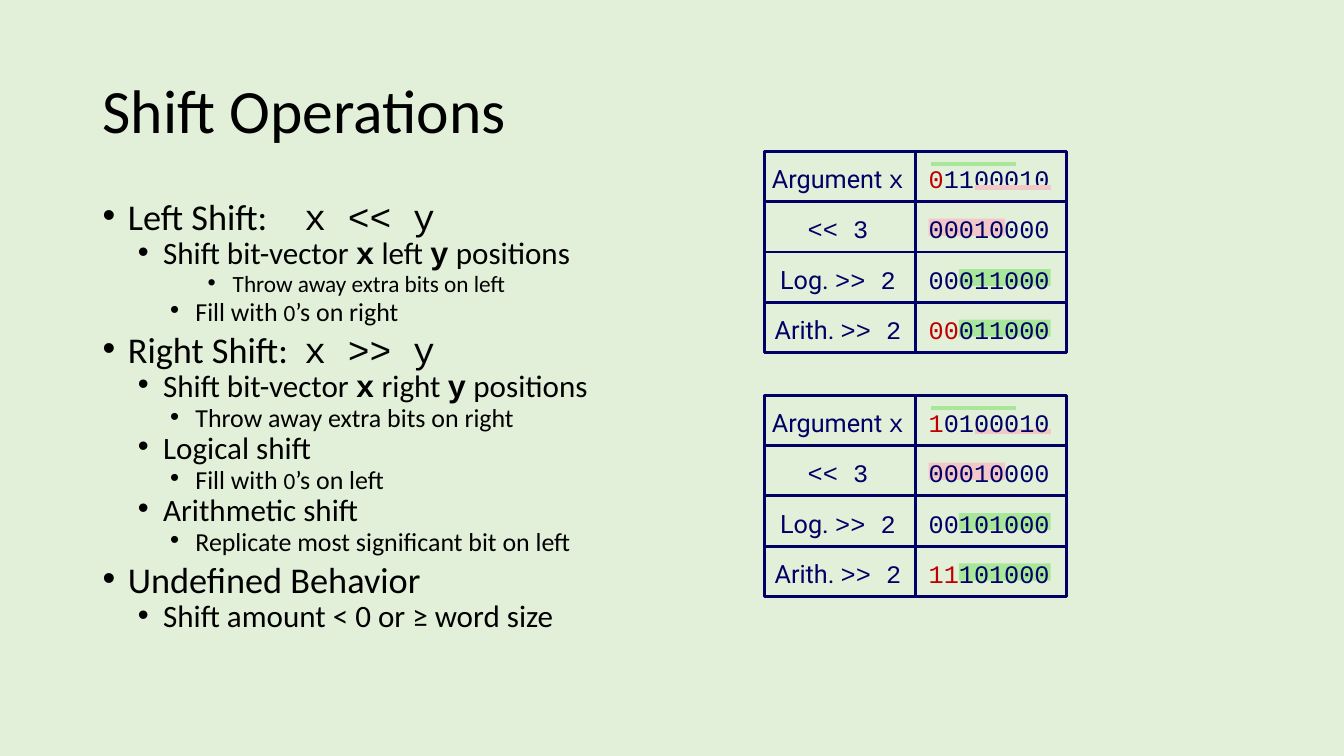
from lxml.etree import SubElement
from pptx import Presentation
from pptx.dml.color import RGBColor
from pptx.enum.shapes import MSO_CONNECTOR, MSO_SHAPE
from pptx.enum.text import MSO_ANCHOR, PP_ALIGN
from pptx.oxml.ns import qn
from pptx.util import Inches, Pt

HUE = {"back": "E2F0D9", "ink": "000000", "navy": "000066",
       "red": "C00000", "green": "A8E799", "pink": "F1C7C7"}
SANS, MONO, LABEL = "Calibri", "Courier New", "Roboto"

# Grid of the two bit charts, in inches
LEFT, COL, ROW = 7.58, 1.5, 0.5
TOPS = (1.5, 3.92)
BIT, FIRST = 0.15, 9.21  # width of a digit, left edge of digit 0

# Outline levels: text size, indent, space before
LEVELS = ((25.9, 0.25, 10), (22.2, 0.6, 5), (18.5, 0.92, 5), (16.6, 1.29, 5))


def shift(name, sign):
    return (0, [(f"{name} Shift: \t",), (f"x {sign} y", MONO)])


def vector(side):
    return (1, [("Shift bit-vector ",), ("x", MONO, True), (f" {side} ",),
                ("y", MONO, True), (" positions",)])


def zeros(side):
    return (2, [("Fill with ",), ("0", SANS, False, 16.6), (f"’s on {side}",)])


OUTLINE = (
    shift("Left", "<<"),
    vector("left"),
    (3, [("Throw away extra bits on left",)]),
    zeros("right"),
    shift("Right", ">>"),
    vector("right"),
    (2, [("Throw away extra bits on right",)]),
    (1, [("Logical shift",)]),
    zeros("left"),
    (1, [("Arithmetic shift",)]),
    (2, [("Replicate most significant bit on left",)]),
    (0, [("Undefined Behavior",)]),
    (1, [("Shift amount < 0 or ≥ word size",)]),
)


def color(name):
    return RGBColor.from_string(HUE[name])


def write(para, text, font, size, hue, bold=False):
    run = para.add_run()
    run.text = text
    run.font.name, run.font.size, run.font.bold = font, Pt(size), bold
    run.font.color.rgb = color(hue)


def add_box(slide, left, top, width, height):
    box = slide.shapes.add_textbox(*map(Inches, (left, top, width, height)))
    box.text_frame.word_wrap = True
    return box.text_frame


def add_title(slide, text):
    frame = add_box(slide, 0.92, 0.4, 11.5, 1.45)
    frame.vertical_anchor = MSO_ANCHOR.MIDDLE
    frame.paragraphs[0].line_spacing = 0.9
    write(frame.paragraphs[0], text, SANS, 44, "ink")


def add_list(slide, items):
    frame = add_box(slide, 0.92, 2, 11.5, 4.76)
    for num, (level, parts) in enumerate(items):
        para = frame.add_paragraph() if num else frame.paragraphs[0]
        size, indent, gap = LEVELS[level]
        para.level, para.line_spacing, para.space_before = level, 0.7, Pt(gap)
        props = para._p.get_or_add_pPr()
        props.set("marL", str(Inches(indent)))
        props.set("indent", str(-Inches(0.25)))
        SubElement(props, qn("a:buFont")).set("typeface", "Arial")
        SubElement(props, qn("a:buChar")).set("char", "•")
        for text, *style in parts:
            font, bold, own = style + [SANS, False, size][len(style):]
            write(para, text, font, own, "ink", bold)


def add_rect(slide, left, top, width, height):
    rect = slide.shapes.add_shape(
        MSO_SHAPE.RECTANGLE, *map(Inches, (left, top, width, height)))
    rect.shadow.inherit = False
    return rect


def add_mark(slide, top, row, start, count, hue):
    """Highlight a span of digits in one row."""
    mark = add_rect(slide, FIRST + start * BIT, top + row * ROW + 0.17,
                    count * BIT + 0.01, 0.17)
    mark.fill.solid()
    mark.fill.fore_color.rgb = color(hue)
    mark.line.fill.background()


def add_rule(slide, left, right, y, hue):
    rule = slide.shapes.add_connector(
        MSO_CONNECTOR.STRAIGHT, *map(Inches, (right, y, left, y)))
    rule.line.color.rgb, rule.line.width = color(hue), Pt(3)
    SubElement(rule._element.spPr, qn("a:effectLst"))


def add_rules(slide, top):
    add_rule(slide, 9.67, 10.42, top + 0.36, "pink")
    add_rule(slide, 9.23, 10.08, top + 0.13, "green")


def add_cell(slide, top, row, col, parts):
    cell = add_rect(slide, LEFT + col * COL, top + row * ROW, COL, ROW)
    cell.fill.background()
    cell.line.color.rgb, cell.line.width = color("navy"), Pt(2)
    frame = cell.text_frame
    frame.word_wrap = False
    frame.vertical_anchor = MSO_ANCHOR.MIDDLE
    frame.margin_left, frame.margin_right = Inches(0.06), Inches(0.1)
    frame.margin_top, frame.margin_bottom = Inches(0.08), Inches(0.04)
    para = frame.paragraphs[0]
    para.alignment = PP_ALIGN.CENTER
    for text, font, hue in parts:
        write(para, text, font, 18, hue)


def bit_rows(bits):
    """Labels and digits for the argument and its three shifts."""
    sign, kept = bits[0], (bits[:6], MONO, "navy")
    return (
        ("Argument ", "x", [(sign, MONO, "red"), (bits[1:], MONO, "navy")]),
        ("", "<< 3", [(bits[3:] + "000", MONO, "navy")]),
        ("Log. ", ">> 2", [("00" + bits[:6], MONO, "navy")]),
        ("Arith. ", ">> 2", [(sign * 2, MONO, "red"), kept]),
    )


def add_bits(slide, top, bits):
    for row, (word, code, digits) in enumerate(bit_rows(bits)):
        label = [(word, LABEL, "navy"), (code, MONO, "navy")]
        add_cell(slide, top, row, 0, [part for part in label if part[0]])
        add_cell(slide, top, row, 1, digits)


def main():
    deck = Presentation()
    deck.slide_width, deck.slide_height = Inches(13.33), Inches(7.5)
    slide = deck.slides.add_slide(deck.slide_layouts[6])
    slide.background.fill.solid()
    slide.background.fill.fore_color.rgb = color("back")

    # Highlights behind the digits
    for top in TOPS:
        add_mark(slide, top, 1, 0, 5, "pink")
        for row in (2, 3):
            add_mark(slide, top, row, 2, 6, "green")
    add_rules(slide, TOPS[1])

    # Heading and outline
    add_title(slide, "Shift Operations")
    add_list(slide, OUTLINE)

    # Bit charts, with the upper rules in front
    for top, bits in zip(TOPS, ("01100010", "10100010")):
        add_bits(slide, top, bits)
    add_rules(slide, TOPS[0])

    deck.save("out.pptx")


if __name__ == "__main__":
    main()
